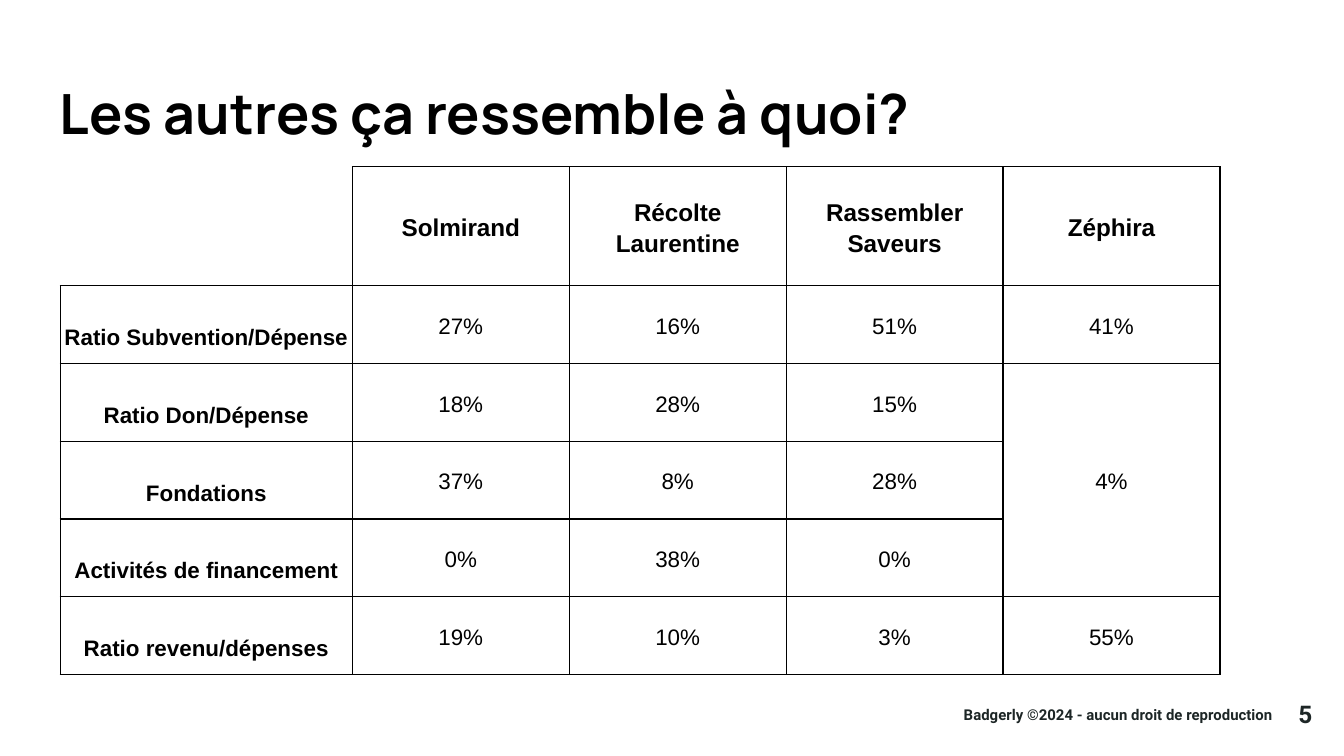
from dataclasses import dataclass

from lxml.etree import SubElement
from pptx import Presentation
from pptx.dml.color import RGBColor
from pptx.enum.text import MSO_ANCHOR, PP_ALIGN
from pptx.oxml.ns import qn
from pptx.util import Cm, Pt

BLACK = RGBColor(0x00, 0x00, 0x00)
INK = RGBColor(0x1D, 0x26, 0x26)


@dataclass
class Style:
    font: str
    size: float
    color: RGBColor
    bold: bool = True


@dataclass
class Label:
    text: str
    left: float
    top: float
    width: float
    height: float
    style: Style
    align: PP_ALIGN = PP_ALIGN.RIGHT
    anchor: MSO_ANCHOR = MSO_ANCHOR.TOP


HEAD = Style("Arial", 13, BLACK)
SIDE = Style("Arial", 12, BLACK)
VALUE = Style("Arial", 12, BLACK, False)

LABELS = [
    Label("Badgerly ©2024 - aucun droit de reproduction", 2.16, 12.85, 22.15, 0.99,
          Style("Roboto", 8, INK), anchor=MSO_ANCHOR.BOTTOM),
    Label("Les autres ça ressemble à quoi?", 0.88, 1.24, 23.67, 1.6,
          Style("Manrope", 29.7, BLACK), PP_ALIGN.LEFT),
    Label("5", 23.53, 12.96, 1.52, 1.09, Style("Roboto", 13, INK)),
]

# An empty string is the blank corner; None is covered by a merged cell
ROWS = [
    ["", "Solmirand", "Récolte Laurentine", "Rassembler Saveurs", "Zéphira"],
    ["Ratio Subvention/Dépense", "27%", "16%", "51%", "41%"],
    ["Ratio Don/Dépense", "18%", "28%", "15%", "4%"],
    ["Fondations", "37%", "8%", "28%", None],
    ["Activités de financement", "0%", "38%", "0%", None],
    ["Ratio revenu/dépenses", "19%", "10%", "3%", "55%"],
]
WIDTHS = [5.52] + [4.1] * 4
HEIGHTS = [2.25] + [1.47] * 5


def add_run(para, text: str, style: Style) -> None:
    run = para.add_run()
    run.text = text
    run.font.name = style.font
    run.font.size = Pt(style.size)
    run.font.bold = style.bold
    run.font.color.rgb = style.color


def add_label(slide, label: Label) -> None:
    box = slide.shapes.add_textbox(Cm(label.left), Cm(label.top),
                                   Cm(label.width), Cm(label.height))
    frame = box.text_frame
    frame.word_wrap = True
    frame.vertical_anchor = label.anchor
    frame.margin_left = frame.margin_right = Cm(0.25)
    frame.margin_top = frame.margin_bottom = Cm(0.25)
    para = frame.paragraphs[0]
    para.alignment = label.align
    add_run(para, label.text, label.style)


def set_edges(cell, shown: str) -> None:
    props = cell._tc.get_or_add_tcPr()
    for side in "LRTB":
        line = SubElement(props, qn(f"a:ln{side}"), w=str(Pt(0.75)))
        if side in shown:
            fill = SubElement(line, qn("a:solidFill"))
            SubElement(fill, qn("a:srgbClr"), val=str(BLACK))
        else:
            SubElement(line, qn("a:noFill"))


def fill_cell(cell, text: str | None, row: int, col: int) -> None:
    set_edges(cell, "RB" if text == "" else "LRTB")
    cell.fill.background()
    cell.margin_left = cell.margin_right = Cm(0.06)
    cell.margin_top = cell.margin_bottom = Cm(0.25)
    cell.vertical_anchor = MSO_ANCHOR.MIDDLE if row == 0 or col else MSO_ANCHOR.BOTTOM
    if text:
        para = cell.text_frame.paragraphs[0]
        para.alignment = PP_ALIGN.CENTER
        para.line_spacing = 1.15
        add_run(para, text, HEAD if row == 0 else VALUE if col else SIDE)


def add_grid(slide) -> None:
    frame = slide.shapes.add_table(len(ROWS), len(WIDTHS), Cm(1.14), Cm(3.15),
                                   Cm(sum(WIDTHS)), Cm(sum(HEIGHTS)))
    table = frame.table
    table.first_row = table.horz_banding = False
    for col, width in zip(table.columns, WIDTHS):
        col.width = Cm(width)
    for row, height in zip(table.rows, HEIGHTS):
        row.height = Cm(height)
    for i, texts in enumerate(ROWS):
        for j, text in enumerate(texts):
            fill_cell(table.cell(i, j), text, i, j)
    table.cell(2, 4).merge(table.cell(4, 4))


def main() -> None:
    deck = Presentation()
    deck.slide_width, deck.slide_height = Cm(25.4), Cm(14.29)
    slide = deck.slides.add_slide(deck.slide_layouts[6])

    # Title, footer and page number
    for label in LABELS:
        add_label(slide, label)

    # Table of ratios
    add_grid(slide)
    deck.save("out.pptx")


if __name__ == "__main__":
    main()
